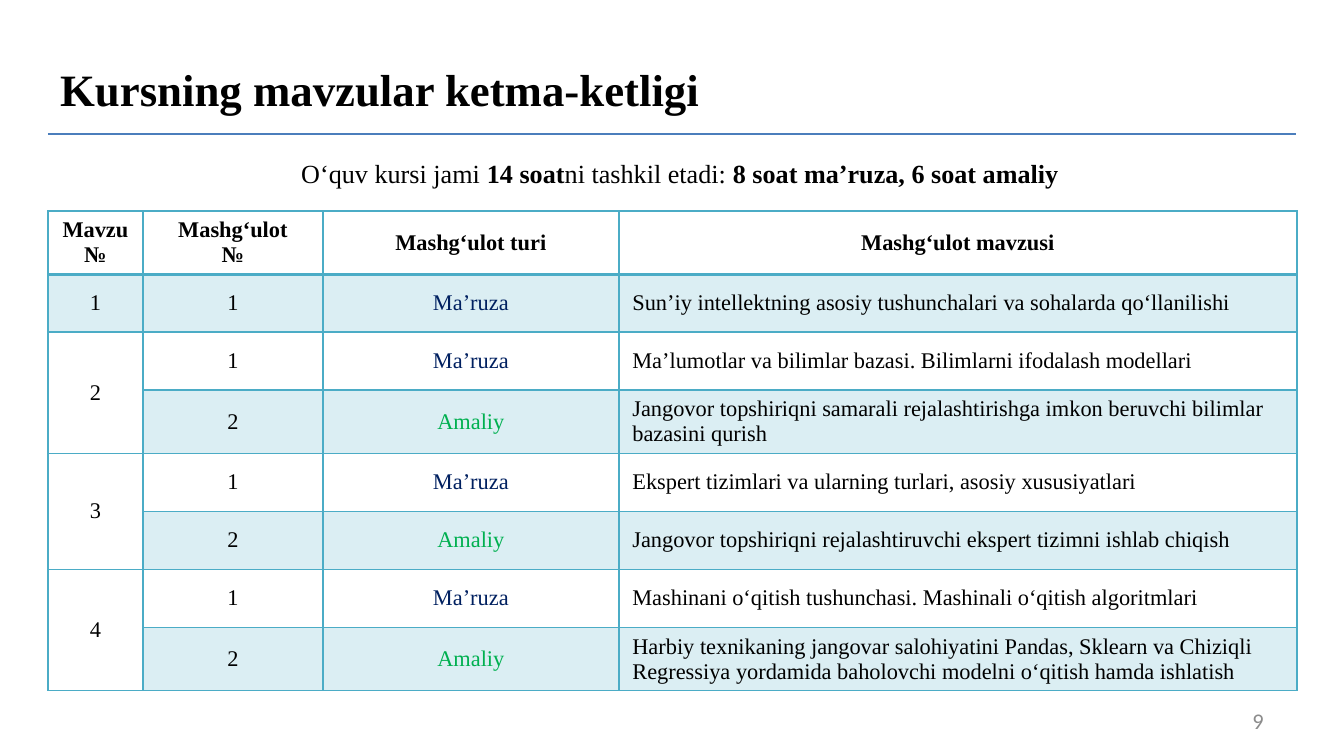
from lxml.etree import SubElement
from pptx import Presentation
from pptx.dml.color import RGBColor
from pptx.enum.shapes import MSO_CONNECTOR
from pptx.enum.text import MSO_ANCHOR, MSO_AUTO_SIZE, PP_ALIGN
from pptx.oxml.ns import qn
from pptx.util import Emu, Pt

SERIF = "Times New Roman"
BLACK = RGBColor(0x00, 0x00, 0x00)
NAVY = RGBColor(0x00, 0x20, 0x60)
GREEN = RGBColor(0x00, 0xB0, 0x50)
GRAY = RGBColor(0x8C, 0x8C, 0x8C)
BLUE = RGBColor(0x4B, 0x7E, 0xBC)
TEAL = RGBColor(0x4B, 0xAC, 0xC6)

TITLE = "Kursning mavzular ketma-ketligi"
HOURS = [
    ("O‘quv kursi jami ", False),
    ("14 soat", True),
    ("ni tashkil etadi: ", False),
    ("8 soat ma’ruza, 6 soat amaliy", True),
]
PAGE_NUMBER = "9"
HEADERS = ["Mavzu\n№", "Mashg‘ulot\n№", "Mashg‘ulot turi", "Mashg‘ulot mavzusi"]
# Each topic lists its lessons: a lecture first, then a practical if there is one.
TOPICS = [
    ["Sun’iy intellektning asosiy tushunchalari va sohalarda qo‘llanilishi"],
    ["Ma’lumotlar va bilimlar bazasi. Bilimlarni ifodalash modellari",
     "Jangovor topshiriqni samarali rejalashtirishga imkon beruvchi bilimlar bazasini qurish"],
    ["Ekspert tizimlari va ularning turlari, asosiy xususiyatlari",
     "Jangovor topshiriqni rejalashtiruvchi ekspert tizimni ishlab chiqish"],
    ["Mashinani o‘qitish tushunchasi. Mashinali o‘qitish algoritmlari",
     "Harbiy texnikaning jangovar salohiyatini Pandas, Sklearn va Chiziqli "
     "Regressiya yordamida baholovchi modelni o‘qitish hamda ishlatish"],
]
LESSON_KINDS = [("Ma’ruza", NAVY), ("Amaliy", GREEN)]
COLUMN_WIDTHS = [95, 180, 296, 678]
HEADER_HEIGHT, ROW_HEIGHT = 59, 58


def px(count):
    return Emu(round(count * 914400 / 134.4))


def style(paragraph, size, color=BLACK, bold=False, align=PP_ALIGN.LEFT, name=SERIF):
    paragraph.alignment = align
    font = paragraph.font
    font.name, font.size, font.bold = name, Pt(size), bold
    font.color.rgb = color


def add_text_box(page, left, top, width, height, wrap=False):
    frame = page.shapes.add_textbox(px(left), px(top), px(width), px(height)).text_frame
    frame.word_wrap = wrap
    frame.auto_size = MSO_AUTO_SIZE.NONE if wrap else MSO_AUTO_SIZE.SHAPE_TO_FIT_TEXT
    return frame


def set_borders(cell, bottom_width):
    properties = cell._tc.get_or_add_tcPr()
    for side, width in (("L", 1), ("R", 1), ("T", 1), ("B", bottom_width)):
        line = SubElement(properties, qn(f"a:ln{side}"), w=str(Pt(width)))
        fill = SubElement(line, qn("a:solidFill"))
        SubElement(fill, qn("a:srgbClr"), val=str(TEAL))


def fill_cell(cell, text, color=BLACK, align=PP_ALIGN.CENTER, header=False, shaded=False):
    paragraph = cell.text_frame.paragraphs[0]
    paragraph.text = text
    style(paragraph, 12, color, header, align)
    cell.vertical_anchor = MSO_ANCHOR.MIDDLE
    set_borders(cell, 2 if header else 1)
    if shaded:
        cell.fill.solid()
        cell.fill.fore_color.rgb = TEAL
        tint = cell._tc.tcPr.find(qn("a:solidFill")).find(qn("a:srgbClr"))
        SubElement(tint, qn("a:alpha"), val="20000")
    else:
        cell.fill.background()


def add_lesson_table(page):
    lesson_count = sum(len(lessons) for lessons in TOPICS)
    table = page.shapes.add_table(
        lesson_count + 1, len(HEADERS), px(48), px(211), px(sum(COLUMN_WIDTHS)),
        px(HEADER_HEIGHT + lesson_count * ROW_HEIGHT)).table
    for column, width in zip(table.columns, COLUMN_WIDTHS):
        column.width = px(width)
    for index, row in enumerate(table.rows):
        row.height = px(ROW_HEIGHT if index else HEADER_HEIGHT)
    for column, text in enumerate(HEADERS):
        fill_cell(table.cell(0, column), text, header=True)

    row = 1
    for topic, lessons in enumerate(TOPICS, 1):
        first = row
        for number, (subject, (kind, color)) in enumerate(zip(lessons, LESSON_KINDS), 1):
            shaded = row % 2 == 1
            fill_cell(table.cell(row, 0), str(topic) if row == first else "",
                      shaded=shaded and len(lessons) == 1)
            fill_cell(table.cell(row, 1), str(number), shaded=shaded)
            fill_cell(table.cell(row, 2), kind, color, shaded=shaded)
            fill_cell(table.cell(row, 3), subject, align=PP_ALIGN.LEFT, shaded=shaded)
            row += 1
        if len(lessons) > 1:
            table.cell(first, 0).merge(table.cell(row - 1, 0))


def main():
    deck = Presentation()
    deck.slide_width, deck.slide_height = px(1344), px(756)
    page = deck.slides.add_slide(deck.slide_layouts[6])

    rule = page.shapes.add_connector(
        MSO_CONNECTOR.STRAIGHT, px(48), px(134), px(1296), px(134))
    rule.line.color.rgb = BLUE
    rule.line.width = Pt(0.75)
    SubElement(rule._element.spPr, qn("a:effectLst"))

    number = add_text_box(page, 964, 701, 313, 40, wrap=True)
    number.vertical_anchor = MSO_ANCHOR.MIDDLE
    number.text = PAGE_NUMBER
    style(number.paragraphs[0], 12, GRAY, align=PP_ALIGN.RIGHT, name="Calibri")

    add_lesson_table(page)

    title = add_text_box(page, 47, 55, 672, 67)
    title.text = TITLE
    style(title.paragraphs[0], 24, bold=True)

    hours = add_text_box(page, 288, 151, 788, 46).paragraphs[0]
    style(hours, 14)
    for text, bold in HOURS:
        span = hours.add_run()
        span.text = text
        span.font.bold = bold

    deck.save("out.pptx")


if __name__ == "__main__":
    main()
